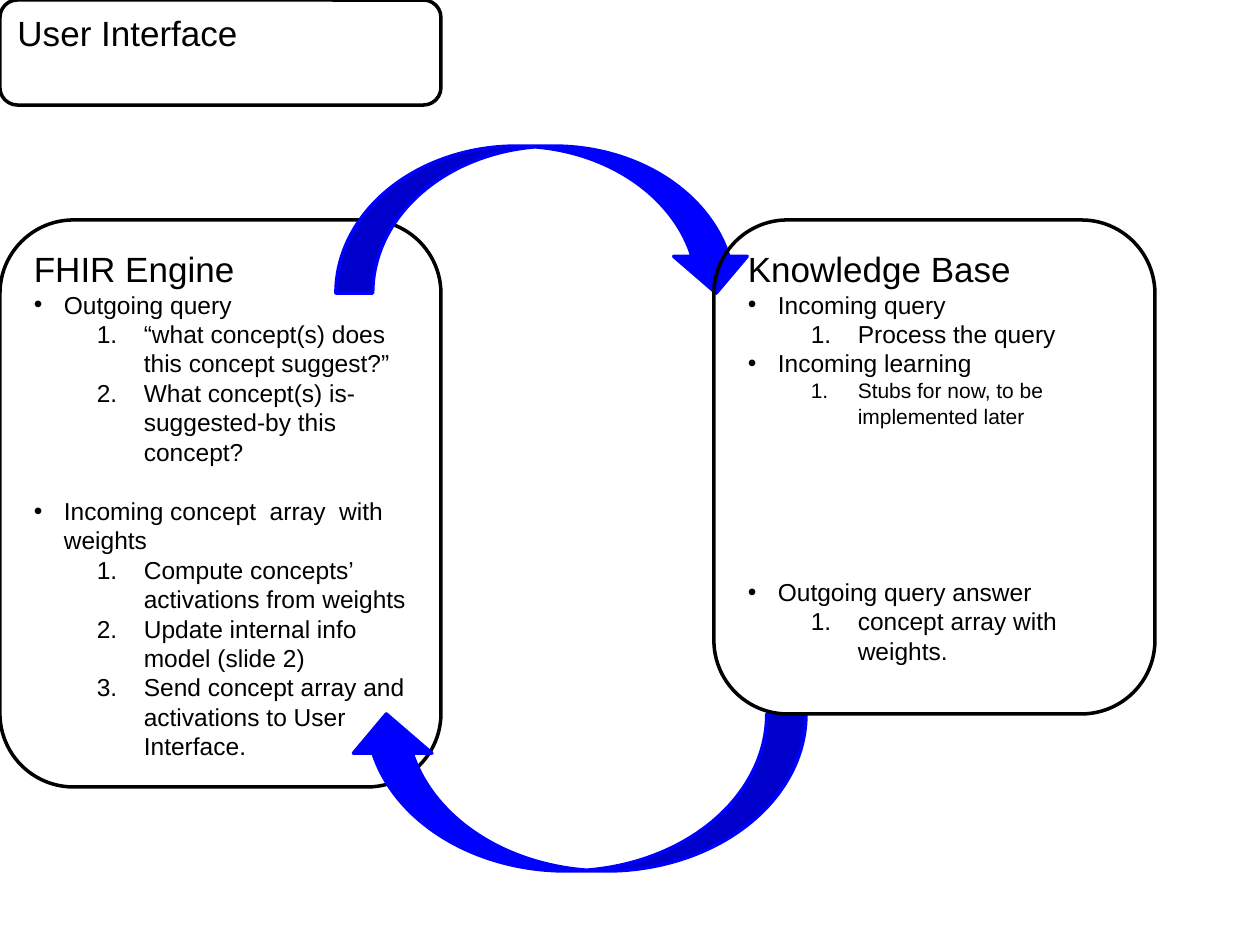
from lxml.etree import SubElement
from pptx import Presentation
from pptx.dml.color import RGBColor
from pptx.enum.shapes import MSO_SHAPE
from pptx.enum.text import MSO_ANCHOR, PP_ALIGN
from pptx.oxml.ns import qn
from pptx.util import Pt

EMU_PER_PX = 914400 / 126
FONT = "Arial"
BLACK, BLUE = "000000", "0000FF"

# Paragraph kinds: left margin and hanging indent in px
INDENTS = {"title": (0, 0), "bullet": (30, -30), "number": (110, -47)}
LINE = 17  # points left free for one skipped line

# Boxes: (left, top, width, height), paragraphs of (kind, text, size, space before)
ENGINE = (0, 220, 441, 567), [
    ("title", "FHIR Engine", 20, 0),
    ("bullet", "Outgoing query", 14, 0),
    ("number", "“what concept(s) does this concept suggest?”", 14, 0),
    ("number", "What concept(s) is-suggested-by this concept?", 14, 0),
    ("bullet", "Incoming concept  array  with weights", 14, LINE),
    ("number", "Compute concepts’ activations from weights", 14, 0),
    ("number", "Update internal info model (slide 2)", 14, 0),
    ("number", "Send concept array and activations to User Interface.", 14, 0),
]
INTERFACE = (0, 0, 441, 105), [("title", "User Interface", 20, 0)]
KNOWLEDGE = (714, 220, 441, 494), [
    ("title", "Knowledge Base", 20, 0),
    ("bullet", "Incoming query", 14, 0),
    ("number", "Process the query", 14, 0),
    ("bullet", "Incoming learning", 14, 0),
    ("number", "Stubs for now, to be implemented later", 12, 0),
    ("bullet", "Outgoing query answer", 14, 5 * LINE),
    ("number", "concept array with weights.", 14, 0),
]

# Arrows: box before rotation, rotation in degrees
ANSWER_ARROW = (498, 563, 157, 459), 90
QUERY_ARROW = (471, 11, 147, 417), 270


def px(value):
    return round(value * EMU_PER_PX)


def color(value):
    return RGBColor.from_string(value)


def add_outlined(slide, kind, box, line_color):
    shape = slide.shapes.add_shape(kind, *map(px, box))
    shape.shadow.inherit = False
    shape.line.color.rgb = color(line_color)
    shape.line.width = Pt(2)
    return shape


def format_list(paragraph, kind):
    margin, indent = INDENTS[kind]
    properties = paragraph._p.get_or_add_pPr()
    properties.set("marL", str(px(margin)))
    properties.set("indent", str(px(indent)))
    if kind == "bullet":
        SubElement(properties, qn("a:buFont"), typeface=FONT)
        SubElement(properties, qn("a:buChar"), char="•")
    elif kind == "number":
        paragraph.level = 1
        SubElement(properties, qn("a:buFont"), typeface=FONT)
        SubElement(properties, qn("a:buAutoNum"), type="arabicPeriod")


def add_box(slide, box, paragraphs):
    shape = add_outlined(slide, MSO_SHAPE.ROUNDED_RECTANGLE, box, BLACK)
    shape.fill.background()
    frame = shape.text_frame
    frame.word_wrap = True
    frame.vertical_anchor = MSO_ANCHOR.TOP
    for index, (kind, text, size, space) in enumerate(paragraphs):
        paragraph = frame.add_paragraph() if index else frame.paragraphs[0]
        paragraph.text = text
        paragraph.alignment = PP_ALIGN.LEFT
        format_list(paragraph, kind)
        if space:
            paragraph.space_before = Pt(space)
        paragraph.font.name = FONT
        paragraph.font.size = Pt(size)
        paragraph.font.color.rgb = color(BLACK)


def add_arrow(slide, box, rotation):
    shape = add_outlined(slide, MSO_SHAPE.CURVED_LEFT_ARROW, box, BLUE)
    shape.fill.solid()
    shape.fill.fore_color.rgb = color(BLUE)
    shape.rotation = rotation


def main():
    presentation = Presentation()
    presentation.slide_width, presentation.slide_height = px(1260), px(945)
    slide = presentation.slides.add_slide(presentation.slide_layouts[6])

    # Back to front
    add_box(slide, *ENGINE)
    add_box(slide, *INTERFACE)
    add_arrow(slide, *ANSWER_ARROW)
    add_arrow(slide, *QUERY_ARROW)
    add_box(slide, *KNOWLEDGE)

    presentation.save("out.pptx")


if __name__ == "__main__":
    main()
